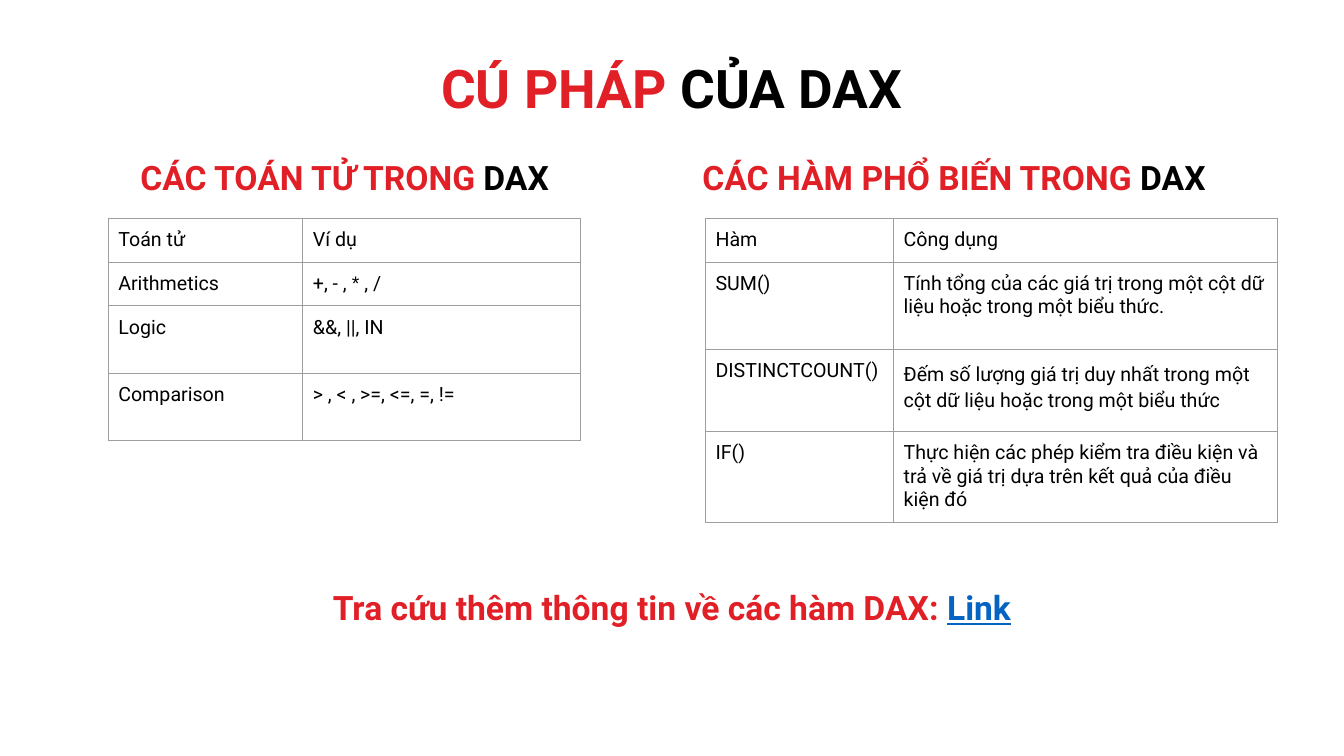
from lxml import etree
from pptx import Presentation
from pptx.dml.color import RGBColor
from pptx.enum import text
from pptx.oxml import ns
from pptx.util import Pt

COLORS = {"red": "E11F26", "black": "000000", "link": "0563C1",
          "border": "9E9E9E"}
HEADING = {"name": "Roboto", "size": Pt(24), "bold": True}
TITLE = {**HEADING, "size": Pt(38)}
BODY = {"name": "Roboto", "size": Pt(14), "bold": False}
SIDES = ("left", "right", "top", "bottom")

OPERATORS = [
    ("Toán tử", "Ví dụ"),
    ("Arithmetics", "+, - , * , /"),
    ("Logic", "&&, ||, IN"),
    ("Comparison", "> , < , >=, <=, =, !="),
]
FUNCTIONS = [
    ("Hàm", "Công dụng"),
    ("SUM()", "Tính tổng của các giá trị trong một cột dữ liệu hoặc trong "
              "một biểu thức."),
    ("DISTINCTCOUNT()", "Đếm số lượng giá trị duy nhất trong một cột dữ liệu "
                        "hoặc trong một biểu thức"),
    ("IF()", "Thực hiện các phép kiểm tra điều kiện và trả về giá trị dựa "
             "trên kết quả của điều kiện đó"),
]


def add_run(paragraph, wording, color, formats):
    run = paragraph.add_run()
    run.text = wording
    for attribute, value in formats.items():
        setattr(run.font, attribute, value)
    run.font.color.rgb = RGBColor.from_string(COLORS[color])


def add_heading(slide, box, parts, formats):
    """Centred line; parts are (wording, colour, extra formats)."""
    frame = slide.shapes.add_textbox(*map(Pt, box)).text_frame
    frame.word_wrap = True
    for side in SIDES:
        setattr(frame, f"margin_{side}", Pt(9.6))
    line = frame.paragraphs[0]
    line.alignment = text.PP_ALIGN.CENTER
    for wording, color, extra in parts:
        add_run(line, wording, color, {**formats, **extra})


def style_cell(cell):
    cell.fill.background()
    for side in SIDES:
        setattr(cell, f"margin_{side}", Pt(7.2))
    properties = cell._tc.get_or_add_tcPr()
    # Borders come before the fill
    for position, tag in enumerate(("a:lnL", "a:lnR", "a:lnT", "a:lnB")):
        border = etree.Element(ns.qn(tag), w=str(Pt(0.75)))
        fill = etree.SubElement(border, ns.qn("a:solidFill"))
        etree.SubElement(fill, ns.qn("a:srgbClr"), val=COLORS["border"])
        properties.insert(position, border)


def add_reference_table(slide, origin, widths, heights, entries, spacing=None):
    """Term in the first column, explanation merged over the others."""
    box = (*origin, sum(widths), sum(heights))
    table = slide.shapes.add_table(len(heights), len(widths),
                                   *map(Pt, box)).table
    table.first_row = table.horz_banding = False
    for column, width in zip(table.columns, widths):
        column.width = Pt(width)
    for row, height in zip(table.rows, heights):
        row.height = Pt(height)
    for cell in table.iter_cells():
        style_cell(cell)
    for index, entry in enumerate(entries):
        table.cell(index, 1).merge(table.cell(index, len(widths) - 1))
        for column, wording in enumerate(entry):
            line = table.cell(index, column).text_frame.paragraphs[0]
            line.line_spacing = (spacing or {}).get((index, column))
            # The asterisk is set in Arial
            before, star, after = wording.partition("*")
            for piece, font in ((before, "Roboto"), (star, "Arial"),
                                (after, "Roboto")):
                if piece:
                    add_run(line, piece, "black", {**BODY, "name": font})


def build_syntax_slide(slide):
    # Title
    add_heading(slide, (33.8, 30.2, 892.1, 59.8),
                [("CÚ PHÁP", "red", {}), (" CỦA DAX", "black", {})], TITLE)

    # Operators
    add_heading(slide, (75.6, 102.2, 341.3, 59.8),
                [("CÁC TOÁN TỬ TRONG", "red", {}), (" DAX", "black", {})],
                HEADING)
    add_reference_table(slide, (77.3, 156), (139, 30.2, 84.2, 84.2),
                        (31.2, 31.2, 48.2, 48.2), OPERATORS)

    # Common functions
    add_heading(slide, (485.3, 102.2, 392.4, 59.8),
                [("CÁC HÀM PHỔ BIẾN TRONG", "red", {}),
                 (" DAX", "black", {})], HEADING)
    add_reference_table(slide, (503.9, 156), (134.4, 69.8, 102.2, 102.2),
                        (31.2, 62.2, 58.8, 63.6), FUNCTIONS, {(2, 1): 1.15})

    # Further reading
    add_heading(slide, (85.7, 409.7, 788.4, 59.8),
                [("Tra cứu thêm thông tin về các hàm DAX: ", "red", {}),
                 ("Link", "link", {"underline": True})], HEADING)


def main():
    deck = Presentation()
    deck.slide_width, deck.slide_height = Pt(960), Pt(540)
    build_syntax_slide(deck.slides.add_slide(deck.slide_layouts[6]))
    deck.save("out.pptx")


if __name__ == "__main__":
    main()
